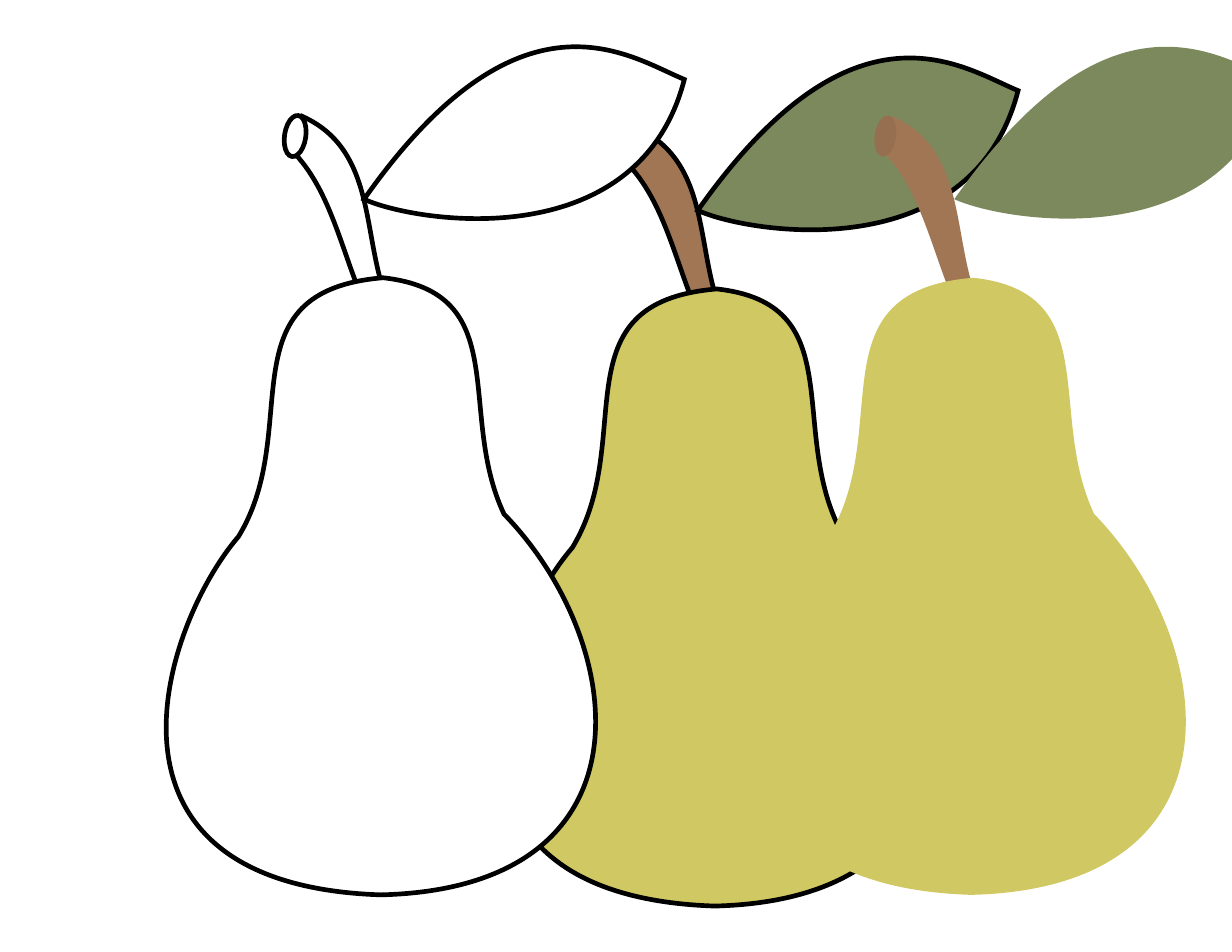
"""Draw three overlapping pears: one coloured and outlined, one outline only, one flat."""
from math import cos, radians, sin

from lxml.etree import SubElement
from pptx import Presentation
from pptx.dml.color import RGBColor
from pptx.enum.shapes import MSO_SHAPE
from pptx.oxml.ns import qn
from pptx.util import Inches, Pt

COLOURS = {"stem": "A17655", "cut": "966E50", "leaf": "7C895D", "fruit": "D0C863",
           "white": "FFFFFF", "ink": "000000"}

STEM = {"part": "stem", "centre": (3.045, 1.9), "turn": -18.5, "start": (2.7, 1.04), "steps": [
    [(2.6, 1.34)],
    [(2.97, 1.7), (3.06, 2.31), (3.29, 2.79)],
    [(3.48, 2.73)],
    [(3.22, 2.17), (3.39, 1.35), (2.7, 1.04)]]}
LEAF = {"part": "leaf", "centre": (4.675, 1.215), "turn": -12.9, "start": (3.25, 1.78), "steps": [
    [(4.65, -0.21), (5.62, 0.51), (6.11, 0.71)],
    [(5.7, 2.3), (3.71, 1.99), (3.25, 1.78)]]}
FRUIT = {"part": "fruit", "centre": (3.405, 5.235), "turn": 0, "start": (2.13, 4.79), "steps": [
    [(2.72, 3.82), (1.98, 2.6), (3.42, 2.48)],
    [(4.6, 2.61), (4.07, 3.68), (4.5, 4.59)],
    [(5.61, 5.73), (5.89, 7.93), (3.4, 7.99)],
    [(0.67, 7.9), (1.46, 5.57), (2.13, 4.79)]]}
CUT = {"left": 2.54, "top": 1.03, "width": 0.19, "height": 0.37, "turn": 8.6}

PEARS = [
    {"shift": (2.98, 0.1), "coloured": True, "outlined": True},
    {"shift": (0, 0), "coloured": False, "outlined": True},
    {"shift": (5.27, 0), "coloured": True, "outlined": False},
]
SAMPLES = 40


def paint(shape, part, pear):
    """Give a part its fill and outline."""
    shape.shadow.inherit = False
    shape.fill.solid()
    name = part if pear["coloured"] else "white"
    shape.fill.fore_color.rgb = RGBColor.from_string(COLOURS[name])
    if pear["outlined"]:
        shape.line.color.rgb = RGBColor.from_string(COLOURS["ink"])
        shape.line.width = Pt(3)
        SubElement(shape.line._ln, qn("a:miter"), lim="800000")
    else:
        shape.line.fill.background()


def level(point, outline, shift):
    """Turn a point back to the unrotated frame, in EMU."""
    angle = radians(-outline["turn"])
    across, down = (value - middle for value, middle in zip(point, outline["centre"]))
    return (Inches(outline["centre"][0] + shift[0] + across * cos(angle) - down * sin(angle)),
            Inches(outline["centre"][1] + shift[1] + across * sin(angle) + down * cos(angle)))


def curve_points(start, controls):
    """Sample one cubic curve."""
    points = []
    for step in range(1, SAMPLES + 1):
        t = step / SAMPLES
        weights = ((1 - t) ** 3, 3 * t * (1 - t) ** 2, 3 * t * t * (1 - t), t ** 3)
        points.append(tuple(round(sum(weight * point[axis] for weight, point
                                      in zip(weights, [start, *controls])))
                            for axis in (0, 1)))
    return points


def add_outline(group, outline, pear):
    """Add a closed curved part, framed by its sampled extent."""
    start = level(outline["start"], outline, pear["shift"])
    steps = [[level(point, outline, pear["shift"]) for point in step]
             for step in outline["steps"]]
    samples, pen = [], start
    for step in steps:
        samples += step if len(step) == 1 else curve_points(pen, step)
        pen = step[-1]
    builder = group.shapes.build_freeform(*start, scale=1.0)
    builder.add_line_segments(samples, close=True)
    shape = builder.convert_to_shape()

    path = next(shape._element.iter(qn("a:path")))
    for child in list(path):
        path.remove(child)
    tags = {1: "a:lnTo", 3: "a:cubicBezTo"}
    commands = [("a:moveTo", [start])] + [(tags[len(step)], step) for step in steps]
    for tag, points in commands:
        command = SubElement(path, qn(tag))
        for x, y in points:
            SubElement(command, qn("a:pt"), x=str(x - shape.left), y=str(y - shape.top))
    SubElement(path, qn("a:close"))
    shape.rotation = outline["turn"]
    paint(shape, outline["part"], pear)


def add_cut(group, pear):
    """Add the oval end of the stem."""
    shift_x, shift_y = pear["shift"]
    oval = group.shapes.add_shape(
        MSO_SHAPE.OVAL, Inches(CUT["left"] + shift_x), Inches(CUT["top"] + shift_y),
        Inches(CUT["width"]), Inches(CUT["height"]))
    oval.rotation = CUT["turn"]
    paint(oval, "cut", pear)


def main():
    """Build and save the deck."""
    deck = Presentation()
    deck.slide_width, deck.slide_height = Inches(11), Inches(8.5)
    page = deck.slides.add_slide(deck.slide_layouts[6])
    for pear in PEARS:
        group = page.shapes.add_group_shape()
        add_outline(group, STEM, pear)
        add_cut(group, pear)
        add_outline(group, LEAF, pear)
        add_outline(group, FRUIT, pear)
    deck.save("out.pptx")


if __name__ == "__main__":
    main()
